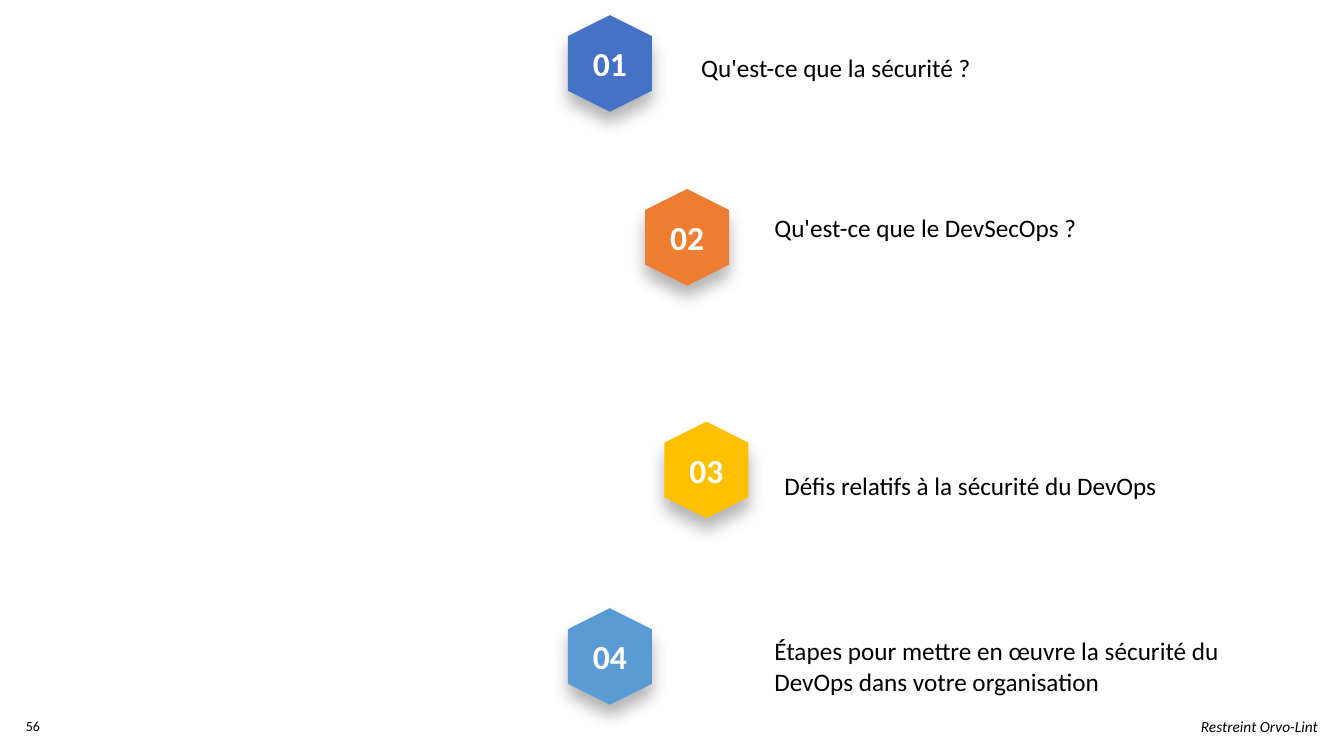
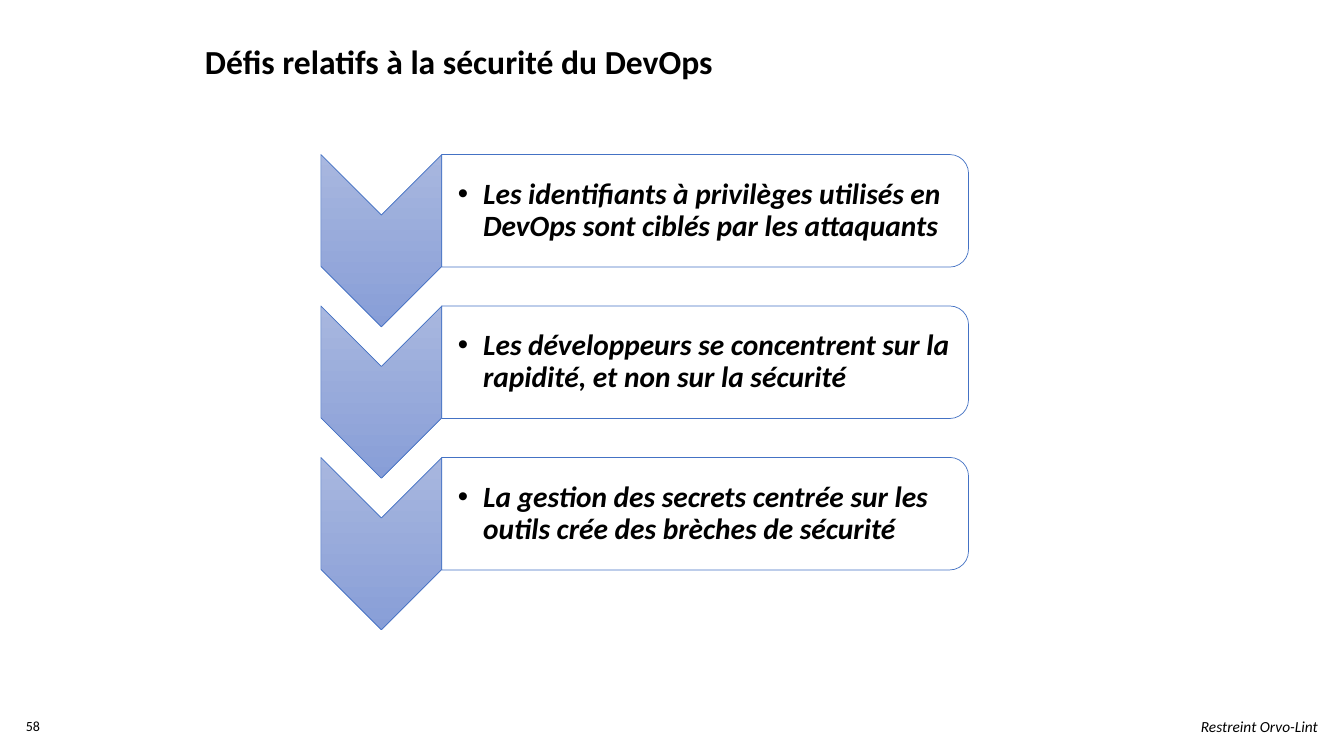
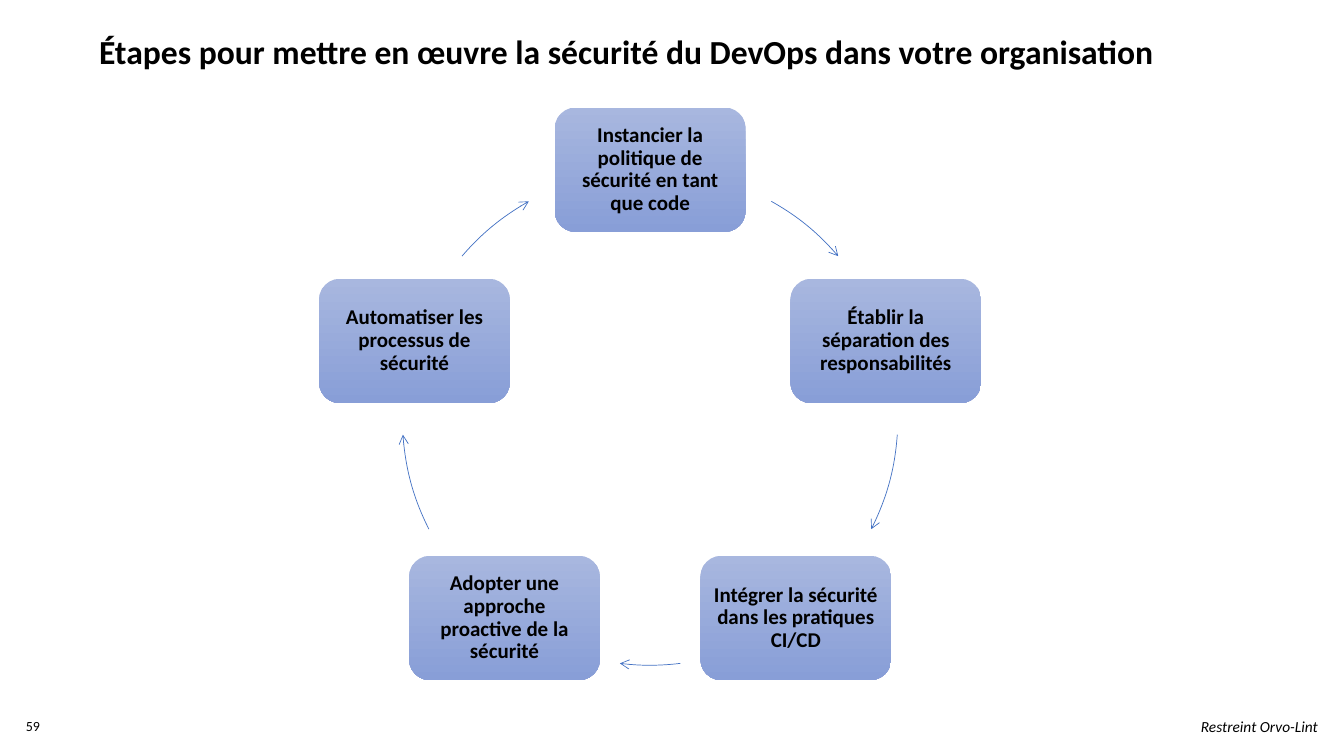
from math import cos, sin, radians
from pptx import Presentation
from pptx.dml.color import RGBColor as Rgb
from pptx.enum.shapes import MSO_SHAPE as Kind
from pptx.enum.text import MSO_ANCHOR as Anchor, MSO_AUTO_SIZE as Fit, PP_ALIGN as Align
from pptx.oxml import parse_xml
from pptx.oxml.ns import nsdecls, qn
from pptx.util import Inches, Pt

CELL = Inches(1 / 12)  # the slide is a grid of 160 columns by 90 rows
COLS, ROWS = 160, 90


class Theme:
    face = "Calibri"
    ink, white, blue = "000000", "FFFFFF", "4472C4"
    fade = ("A8B7DF", "889ED7")
    hues = (blue, "ED7D31", "FFC000", "5B9BD5")
    thin = Pt(0.5)
    title = dict(size=Pt(24), bold=True)
    label = dict(size=Pt(18))
    point = dict(size=Pt(21), bold=True, italic=True)
    step = dict(size=Pt(15), bold=True)
    foot = dict(size=Pt(11), italic=True)
    page = dict(size=Pt(10))


def draw(slide, kind, frame, fill=None, line=None, turn=0):
    """Add a shape that covers frame (in cells) once turned; two fills make a fade."""
    x, y, w, h = frame
    if turn % 180:
        x, y, w, h = x + (w - h) / 2, y + (h - w) / 2, h, w
    shape = slide.shapes.add_shape(kind, *(int(n * CELL) for n in (x, y, w, h)))
    shape.rotation = turn
    shape.shadow.inherit = False
    if fill is None:
        shape.fill.background()
    elif isinstance(fill, tuple):
        shape.fill.gradient()
        shape.fill.gradient_angle = 270
        for stop, hue in zip(shape.fill.gradient_stops, fill):
            stop.color.rgb = Rgb.from_string(hue)
        shape._element.spPr.find(qn("a:gradFill")).set("rotWithShape", "0")
    else:
        shape.fill.solid()
        shape.fill.fore_color.rgb = Rgb.from_string(fill)
    if line:
        shape.line.color.rgb = Rgb.from_string(line)
        shape.line.width = Theme.thin
    else:
        shape.line.fill.background()
    return shape


def write(shape, text, style, hue=Theme.ink, align=Align.LEFT, anchor=Anchor.TOP,
          pads=None, pitch=None, bullet=False):
    """Fill a shape with one paragraph; pads are left, top, right, bottom in inches."""
    frame = shape.text_frame
    frame.auto_size, frame.word_wrap, frame.vertical_anchor = Fit.NONE, True, anchor
    for side, pad in zip(("left", "top", "right", "bottom"), pads or ()):
        setattr(frame, "margin_" + side, Inches(pad))
    para = frame.paragraphs[0]
    if bullet:
        props = para._p.get_or_add_pPr()
        props.set("marL", str(Inches(0.25)))
        props.set("indent", str(-Inches(0.25)))
        props.append(parse_xml(f'<a:buFont {nsdecls("a")} typeface="Arial"/>'))
        props.append(parse_xml(f'<a:buChar {nsdecls("a")} char="•"/>'))
    para.alignment = align
    if pitch:
        para.line_spacing = pitch
    run = para.add_run()
    run.text = text
    run.font.name = Theme.face
    run.font.color.rgb = Rgb.from_string(hue)
    for name, value in style.items():
        setattr(run.font, name, value)


deck = Presentation()
deck.slide_width, deck.slide_height = COLS * CELL, ROWS * CELL

# Shared parts: title, page number and footer
pages = [
    ("56", None, None),
    ("58", "Défis relatifs à la sécurité du DevOps", (23.2, 4.3, 68.6, 6)),
    ("59", "Étapes pour mettre en œuvre la sécurité du DevOps dans votre organisation",
     (10.6, 3.1, 132.5, 6)),
]
slides = []
for page, title, spot in pages:
    slide = deck.slides.add_slide(deck.slide_layouts[5 if title else 6])
    slides.append(slide)
    if title:
        head = slide.shapes.title
        for side, value in zip(("left", "top", "width", "height"), spot):
            setattr(head, side, int(value * CELL))
        write(head, title, Theme.title)
    mark = slide.shapes.add_textbox(*(int(n * CELL) for n in (1.9, 84.7, 6.8, 3.5)))
    write(mark, page, Theme.page, anchor=Anchor.MIDDLE)
    foot = slide.shapes.add_textbox(*(int(n * CELL) for n in (132.1, 84.8, 26, 3.5)))
    write(foot, "Restreint Orvo-Lint", Theme.foot, align=Align.RIGHT)
agenda, risks, cycle = slides

# Agenda: numbered hexagons with their labels
topics = [
    ("Qu'est-ce que la sécurité ?", (67.6, 1.8), (82.3, 5.6)),
    ("Qu'est-ce que le DevSecOps ?", (76.8, 22.5), (91, 24.7)),
    ("Défis relatifs à la sécurité du DevOps", (79.1, 50.2), (92.2, 55.4)),
    ("Étapes pour mettre en œuvre la sécurité du DevOps dans votre organisation",
     (67.6, 72.4), (91, 75.1)),
]
for rank, ((text, spot, side), hue) in enumerate(zip(topics, Theme.hues), 1):
    badge = draw(agenda, Kind.HEXAGON, (*spot, 10, 11.5), hue, turn=270)
    badge._element.spPr.find(qn("a:effectLst")).append(parse_xml(
        f'<a:outerShdw {nsdecls("a")} blurRad="{Pt(12)}" dist="{Pt(8)}" dir="5400000" '
        f'rotWithShape="0"><a:srgbClr val="{Theme.ink}"><a:alpha val="30000"/>'
        '</a:srgbClr></a:outerShdw>'))
    write(badge, f"{rank:02}", Theme.title, Theme.white, Align.CENTER, Anchor.MIDDLE,
          (0, 0, 0, 0))
    badge.text_frame._txBody.bodyPr.set("vert", "vert")
    label = agenda.shapes.add_textbox(*(int(n * CELL) for n in (*side, 56, 8)))
    write(label, text, Theme.label)

# Risks: a column of chevrons, each with a panel
points = [
    "Les identifiants à privilèges utilisés en DevOps sont ciblés par les attaquants",
    "Les développeurs se concentrent sur la rapidité, et non sur la sécurité",
    "La gestion des secrets centrée sur les outils crée des brèches de sécurité",
]
for row, text in enumerate(points):
    top = 18.4 + 18.03 * row
    draw(risks, Kind.CHEVRON, (38.2, top, 14.4, 20.5), Theme.fade, Theme.blue, 90)
    draw(risks, Kind.ROUND_2_SAME_RECTANGLE, (52.6, top, 62.7, 13.4),
         Theme.white, Theme.blue, 90)
    note = risks.shapes.add_textbox(*(int(n * CELL) for n in (52.6, top, 62, 13.4)))
    write(note, text, Theme.point, anchor=Anchor.MIDDLE, pads=(0.16, 0.01, 0.01, 0.01),
          pitch=0.9, bullet=True)

# Cycle: five steps on a ring, joined by arcs; angles run clockwise from the top
steps = [
    ("Instancier la politique de sécurité en tant que code", 29.3, 49.4),
    ("Établir la séparation des responsabilités", 94, 116.8),
    ("Intégrer la sécurité dans les pratiques CI/CD", 173, 187),
    ("Adopter une approche proactive de la sécurité", 243.2, 266),
    ("Automatiser les processus de sécurité", 310.6, 330.7),
]
mid, axis, reach = 77.4, 49.7, 29.5
wide, tall = 22.7, 14.8
for rank, (text, start, end) in enumerate(steps):
    turn = radians(rank * 360 / len(steps))
    x, y = mid + reach * sin(turn), axis - reach * cos(turn)
    node = draw(cycle, Kind.ROUNDED_RECTANGLE, (x - wide / 2, y - tall / 2, wide, tall),
                Theme.fade)
    write(node, text, Theme.step, align=Align.CENTER, anchor=Anchor.MIDDLE,
          pads=(0.06,) * 4, pitch=0.9)
    arc = draw(cycle, Kind.ARC, (mid - reach, axis - reach, 2 * reach, 2 * reach),
               line=Theme.blue)
    for spot, angle in enumerate((start, end)):
        arc.adjustments[spot] = (angle - 90) % 360 * 0.6  # 60000 units a degree
    arc.line._get_or_add_ln().append(
        parse_xml(f'<a:tailEnd {nsdecls("a")} type="arrow"/>'))

deck.save("out.pptx")
